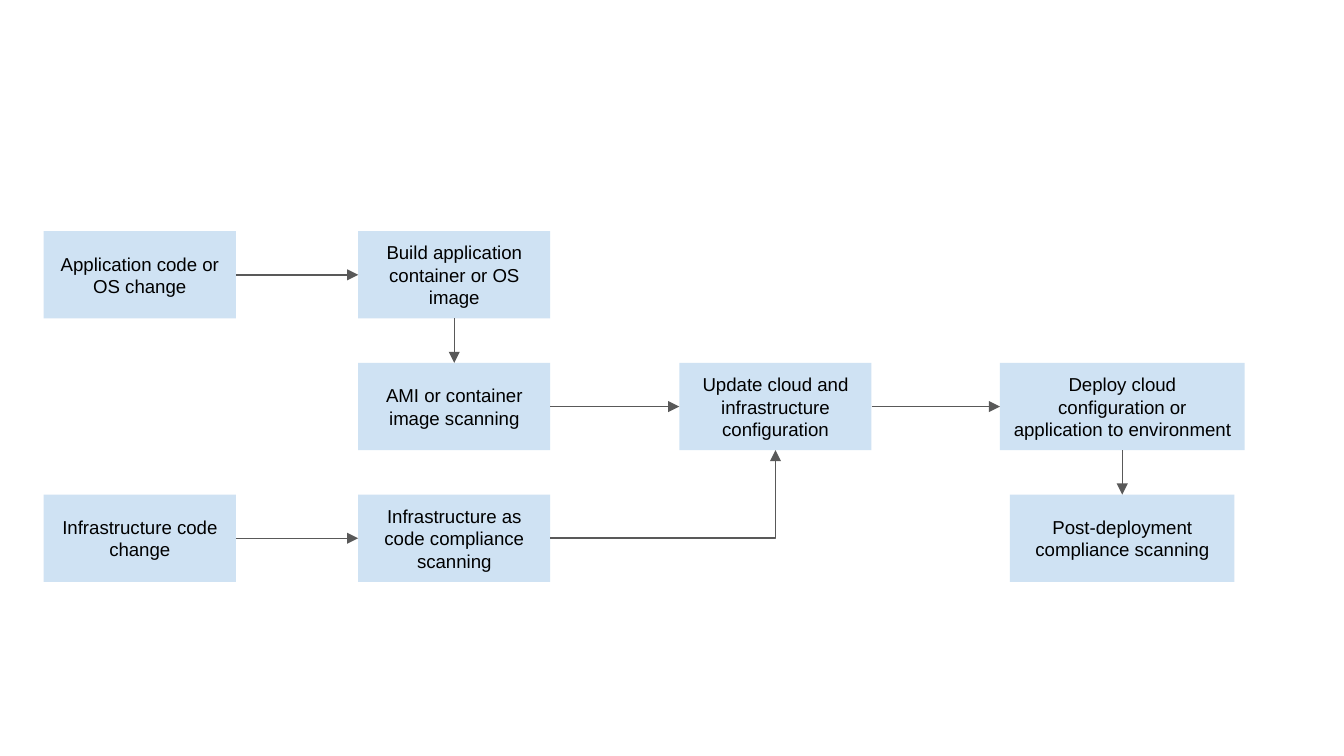
from lxml.etree import SubElement
from pptx import Presentation
from pptx.dml.color import RGBColor
from pptx.enum.shapes import MSO_CONNECTOR as Connector, MSO_SHAPE as Shape
from pptx.enum.text import MSO_ANCHOR as Anchor, PP_ALIGN as Align
from pptx.oxml.ns import qn
from pptx.util import Inches, Pt

COLORS = {"box": "CFE2F3", "text": "000000", "arrow": "595959"}

# Content: name -> (text, column, row, width)
STEPS = {
    "app": ("Application code or OS change", 0, 0, 1.43),
    "infra": ("Infrastructure code change", 0, 2, 1.43),
    "build": ("Build application container or OS image", 1, 0, 1.43),
    "image_scan": ("AMI or container image scanning", 1, 1, 1.43),
    "code_scan": ("Infrastructure as code compliance scanning", 1, 2, 1.43),
    "update": ("Update cloud and infrastructure configuration", 2, 1, 1.43),
    "deploy": ("Deploy cloud configuration or application to environment", 3, 1, 1.82),
    "post_scan": ("Post-deployment compliance scanning", 3, 2, 1.67),
}
# Flow: (from, side, to, side)
FLOW = [
    ("app", "right", "build", "left"),
    ("infra", "right", "code_scan", "left"),
    ("build", "bottom", "image_scan", "top"),
    ("image_scan", "right", "update", "left"),
    ("update", "right", "deploy", "left"),
    ("code_scan", "right", "update", "bottom"),
    ("deploy", "bottom", "post_scan", "top"),
]

# Grid, in inches
COLUMN_CENTERS = [1.04, 3.38, 5.77, 8.35]
TOP, ROW_STEP, BOX_HEIGHT = 1.72, 0.98, 0.65
SITES = {"top": 0, "left": 1, "bottom": 2, "right": 3}


def color(name):
    return RGBColor.from_string(COLORS[name])


def add_step(slide, text, column, row, width):
    left = COLUMN_CENTERS[column] - width / 2
    box = slide.shapes.add_shape(
        Shape.RECTANGLE, Inches(left), Inches(TOP + row * ROW_STEP),
        Inches(width), Inches(BOX_HEIGHT))
    box.shadow.inherit = False
    box.fill.solid()
    box.fill.fore_color.rgb = color("box")
    box.line.fill.background()
    frame = box.text_frame
    frame.word_wrap = True
    frame.vertical_anchor = Anchor.MIDDLE
    frame.margin_left = frame.margin_right = Inches(0.1)
    frame.margin_top = frame.margin_bottom = Inches(0.1)
    frame.text = text
    para = frame.paragraphs[0]
    para.alignment = Align.CENTER
    font = para.runs[0].font
    font.name, font.size = "Arial", Pt(10)
    font.color.rgb = color("text")
    return box


def add_arrow(slide, start, start_side, end, end_side):
    kind = Connector.ELBOW if start_side == "right" else Connector.STRAIGHT
    arrow = slide.shapes.add_connector(kind, 0, 0, 0, 0)
    arrow.begin_connect(start, SITES[start_side])
    arrow.end_connect(end, SITES[end_side])
    arrow.line.color.rgb = color("arrow")
    arrow.line.width = Pt(0.75)
    properties = arrow._element.spPr
    if (start_side, end_side) == ("right", "bottom"):  # a single corner
        properties.find(qn("a:prstGeom")).set("prst", "bentConnector2")
    SubElement(properties.find(qn("a:ln")), qn("a:tailEnd"), type="triangle")
    SubElement(properties, qn("a:effectLst"))


# A 16:9 page
deck = Presentation()
deck.slide_width = Inches(10)
deck.slide_height = deck.slide_width * 9 // 16
page = deck.slides.add_slide(deck.slide_layouts[6])

# Boxes, then the arrows between them
boxes = {name: add_step(page, *step) for name, step in STEPS.items()}
for start, start_side, end, end_side in FLOW:
    add_arrow(page, boxes[start], start_side, boxes[end], end_side)

deck.save("out.pptx")
